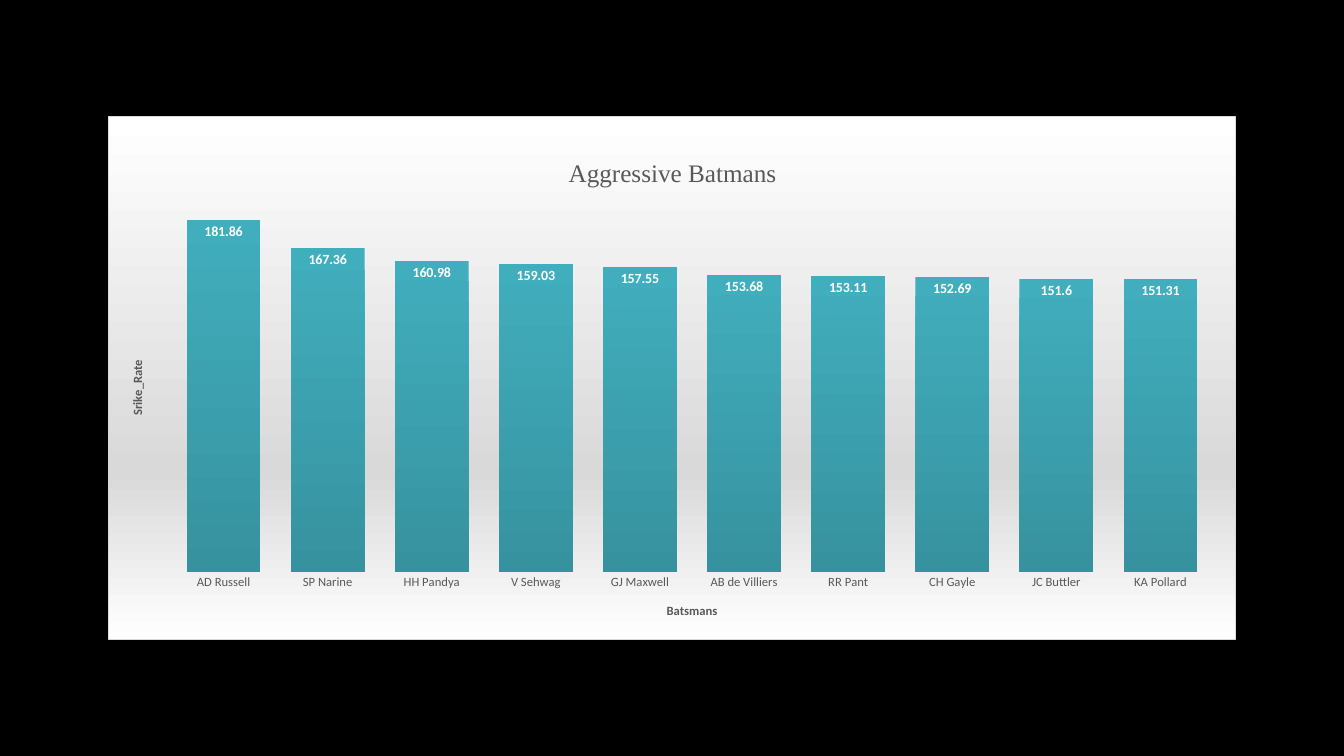
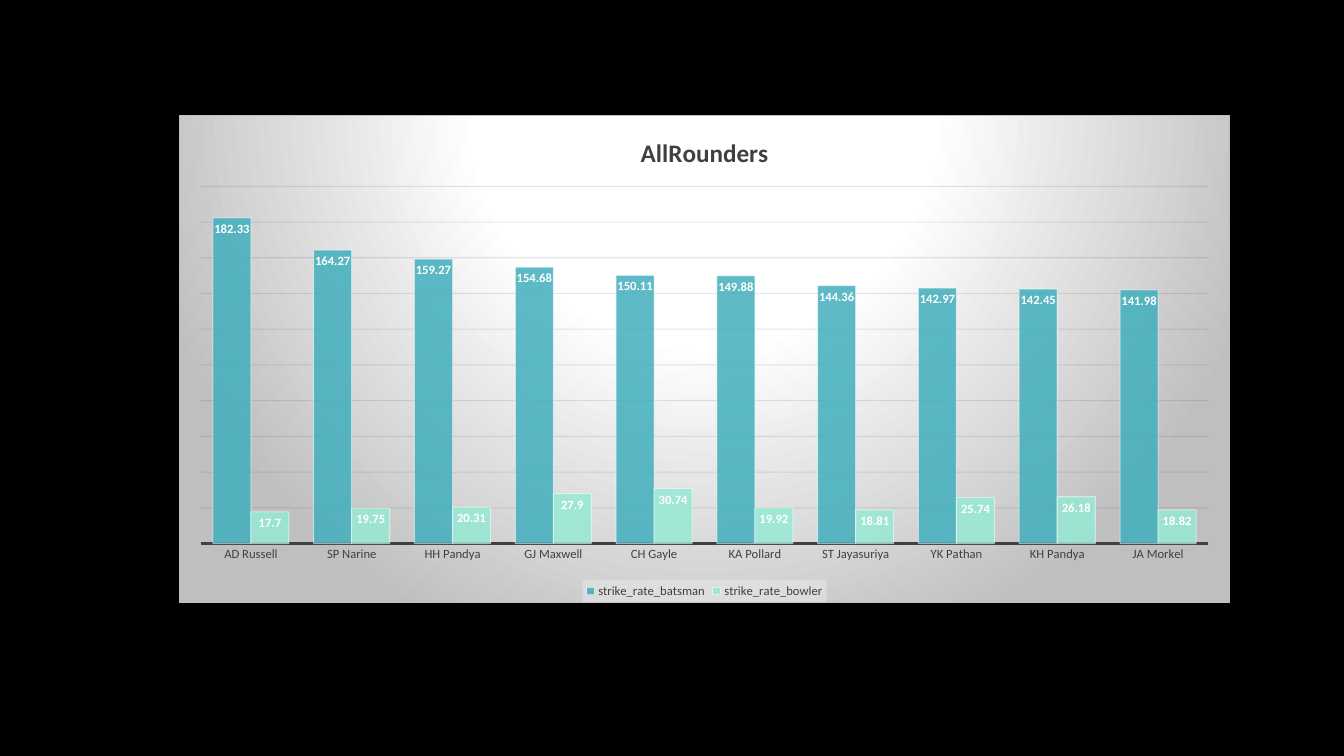
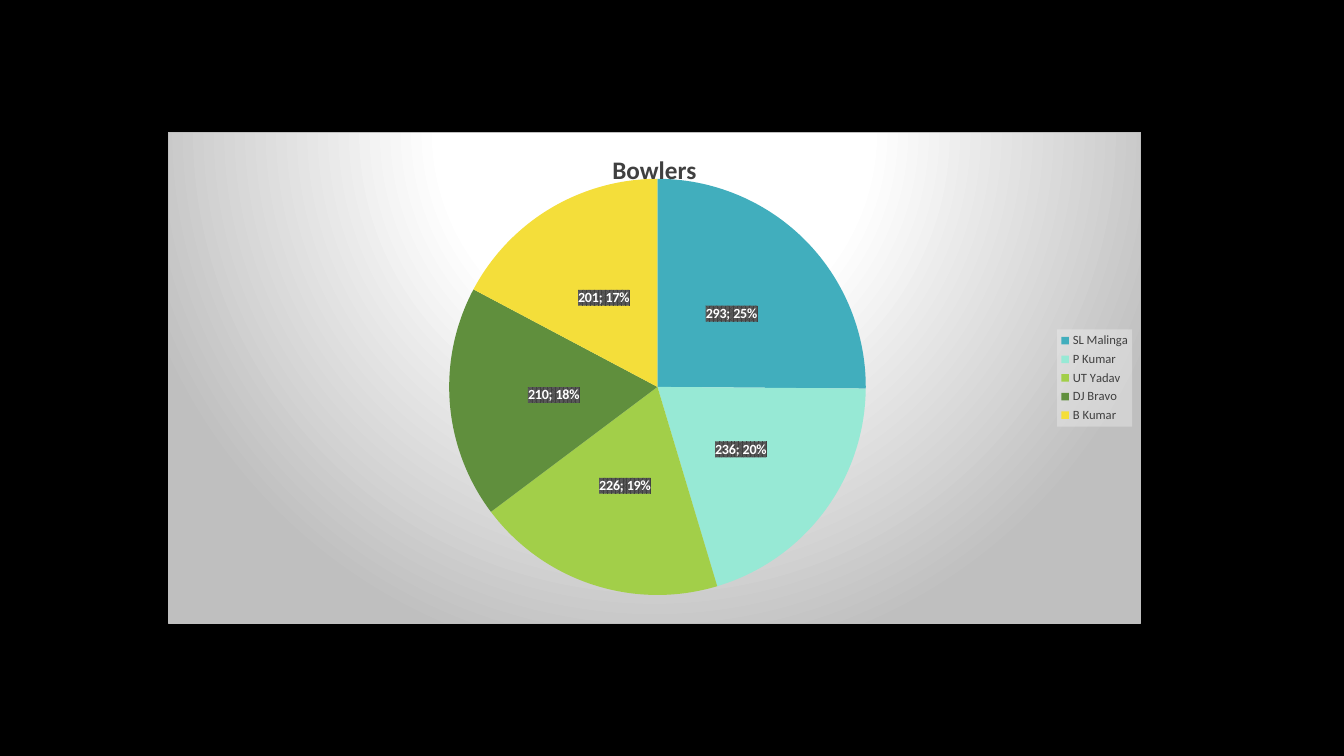
"""Build three dark slides charting cricket batsmen, all-rounders and bowlers."""
import pptx
import pptx.chart.data
import pptx.dml.color
import pptx.enum.chart
import pptx.oxml
import pptx.oxml.ns
import pptx.util

RGB = pptx.dml.color.RGBColor
Pt = pptx.util.Pt
qn = pptx.oxml.ns.qn
NAMESPACES = pptx.oxml.ns.nsdecls("a", "c")
CHART_TYPE = pptx.enum.chart.XL_CHART_TYPE
LABEL_AT = pptx.enum.chart.XL_LABEL_POSITION
LEGEND_AT = pptx.enum.chart.XL_LEGEND_POSITION
TICK = pptx.enum.chart.XL_TICK_MARK

BLACK = RGB(0x00, 0x00, 0x00)
WHITE = RGB(0xFF, 0xFF, 0xFF)
INK = RGB(0x40, 0x40, 0x40)
GRAY = RGB(0x59, 0x59, 0x59)
SILVER = RGB(0xD9, 0xD9, 0xD9)
STEEL = RGB(0xBF, 0xBF, 0xBF)
MIST = RGB(0xF2, 0xF2, 0xF2)
GRID = RGB(0x0D, 0x0D, 0x0D)
TEAL = RGB(0x41, 0xAE, 0xBD)
DEEP_TEAL = RGB(0x37, 0x92, 0x9F)
MINT = RGB(0x97, 0xE9, 0xD5)
LIME = RGB(0xA2, 0xCF, 0x49)
GREEN = RGB(0x60, 0x8F, 0x3D)
YELLOW = RGB(0xF4, 0xDE, 0x3A)

FONT = "Calibri"
PX = 914400 / 100.8
SLIDE_SIZE = (1344, 756)
DOWNWARD = '<a:lin ang="5400000" scaled="0"/>'
SPOTLIGHT = ('<a:path path="circle"><a:fillToRect l="50000" t="-80000" '
             'r="50000" b="180000"/></a:path>')


def solid(color, alpha=100):
    return (f'<a:solidFill><a:srgbClr val="{color}"><a:alpha val="{alpha * 1000}"/>'
            '</a:srgbClr></a:solidFill>')


def gradient(stops, direction):
    marks = "".join(f'<a:gs pos="{at * 1000}"><a:srgbClr val="{color}"/></a:gs>'
                    for at, color in stops)
    return f'<a:gradFill rotWithShape="1"><a:gsLst>{marks}</a:gsLst>{direction}</a:gradFill>'


def outline(fill, width=0.75):
    return f'<a:ln w="{Pt(width)}">{fill}</a:ln>'


VERTICAL_PANEL = (gradient([(0, WHITE), (68, SILVER), (100, WHITE)], DOWNWARD)
                  + outline(solid(SILVER)))
SPOTLIT_PANEL = (gradient([(0, WHITE), (39, WHITE), (100, STEEL)], SPOTLIGHT)
                 + outline(solid(STEEL)))
TEAL_FADE = gradient([(0, TEAL), (100, DEEP_TEAL)], DOWNWARD)
BAR_EDGE = outline(solid(WHITE, 50))
LABEL_PATCH = (f'<a:pattFill prst="pct75"><a:fgClr><a:srgbClr val="{INK}"/></a:fgClr>'
               f'<a:bgClr><a:srgbClr val="{GRAY}"/></a:bgClr></a:pattFill>')

BATSMEN = dict(
    title="Aggressive Batmans", title_font=("Times New Roman", False, GRAY),
    title_at=(564, 152), type=CHART_TYPE.COLUMN_CLUSTERED,
    box=(108, 116, 1128, 524), plot=(171, 185, 1042, 387), panel=VERTICAL_PANEL,
    names=["AD Russell", "SP Narine", "HH Pandya", "V Sehwag", "GJ Maxwell",
           "AB de Villiers", "RR Pant", "CH Gayle", "JC Buttler", "KA Pollard"],
    series=[("Series 1", [181.86, 167.36, 160.98, 159.03, 157.55, 153.68, 153.11,
                          152.69, 151.6, 151.31], TEAL_FADE)],
    label_size=10, label_at=LABEL_AT.INSIDE_END,
    gap=41, axis_color=GRAY, axis_titles=("Batsmans", "Srike_Rate"))
ALL_ROUNDERS = dict(
    title="AllRounders", title_font=(FONT, True, INK), type=CHART_TYPE.COLUMN_CLUSTERED,
    box=(179, 115, 1051, 488), plot=(200, 186, 1009, 358), panel=SPOTLIT_PANEL,
    names=["AD Russell", "SP Narine", "HH Pandya", "GJ Maxwell", "CH Gayle",
           "KA Pollard", "ST Jayasuriya", "YK Pathan", "KH Pandya", "JA Morkel"],
    series=[("strike_rate_batsman", [182.33, 164.27, 159.27, 154.68, 150.11, 149.88,
                                     144.36, 142.97, 142.45, 141.98],
             solid(TEAL, 85) + BAR_EDGE),
            ("strike_rate_bowler", [17.7, 19.75, 20.31, 27.9, 30.74, 19.92, 18.81,
                                    25.74, 26.18, 18.82],
             solid(MINT, 85) + BAR_EDGE)],
    label_size=9, label_at=LABEL_AT.INSIDE_END,
    gap=65, axis_color=INK, grid=True, legend=LEGEND_AT.BOTTOM)
BOWLERS = dict(
    title="Bowlers", title_font=(FONT, True, INK), type=CHART_TYPE.PIE,
    box=(168, 132, 973, 492), plot=(449, 178, 417, 418), panel=SPOTLIT_PANEL,
    names=["SL Malinga", "P Kumar", "UT Yadav", "DJ Bravo", "B Kumar"],
    series=[("Series 1", [293, 236, 226, 210, 201], None)],
    slices=[TEAL, MINT, LIME, GREEN, YELLOW],
    label_size=10, label_at=LABEL_AT.CENTER, legend=LEGEND_AT.RIGHT)


def set_font(font, size, color, bold=False, name=FONT):
    font.name, font.size, font.bold = name, Pt(size), bold
    font.color.rgb = color


def paint(properties, look):
    """Replace the content of a shape-properties element."""
    for old in list(properties):
        properties.remove(old)
    for part in pptx.oxml.parse_xml(f"<c:spPr {NAMESPACES}>{look}</c:spPr>"):
        properties.append(part)


def paint_before_text(owner, look):
    """Give a chart part its look ahead of its text properties."""
    owner.find(qn("c:txPr")).addprevious(
        pptx.oxml.parse_xml(f"<c:spPr {NAMESPACES}>{look}</c:spPr>"))


def place(owner, index, box, area, target=""):
    """Fix a chart part at a slide area given in px."""
    for old in owner.findall(qn("c:layout")):
        owner.remove(old)
    modes = '<c:xMode val="edge"/><c:yMode val="edge"/>'
    left, top, width, height = box
    fractions = [(area[0] - left) / width, (area[1] - top) / height]
    fractions += [length / whole for length, whole in zip(area[2:], (width, height))]
    values = "".join(f'<c:{key} val="{value:.4f}"/>' for key, value in zip("xywh", fractions))
    owner.insert(index, pptx.oxml.parse_xml(
        f"<c:layout {NAMESPACES}><c:manualLayout>{target}{modes}{values}"
        "</c:manualLayout></c:layout>"))


def write_title(title, text, size, name, bold, color):
    line = title.text_frame.paragraphs[0]
    line.text = text
    set_font(line.font, size, color, bold, name)


def style_axes(chart, content):
    names, rates = chart.category_axis, chart.value_axis
    names.major_tick_mark = names.minor_tick_mark = TICK.NONE
    names.has_major_gridlines = False
    set_font(names.tick_labels.font, 9, content["axis_color"])
    rates.minimum_scale, rates.maximum_scale, rates.major_unit = 0, 200, 20
    rates.has_major_gridlines = content.get("grid", False)
    if rates.has_major_gridlines:
        paint(rates.major_gridlines.format.element.get_or_add_spPr(),
              outline(solid(GRID, 10)))
        names.format.line.color.rgb = INK
        names.format.line.width = Pt(1.5)
    else:
        names.format.line.fill.background()
    for axis, text in zip((names, rates), content.get("axis_titles", ())):
        write_title(axis.axis_title, text, 9, FONT, True, GRAY)
    rates.visible = False


def style_series(series, look, content):
    if look:
        paint(series.format.element.get_or_add_spPr(), look)
    for index, color in enumerate(content.get("slices", ())):
        fill = series.points[index].format.fill
        fill.solid()
        fill.fore_color.rgb = color
    labels = series.data_labels
    labels.show_value = True
    labels.position = content["label_at"]
    set_font(labels.font, content["label_size"], WHITE, True)
    if "slices" in content:
        labels.show_percentage = True
        paint_before_text(series.format.element.find(qn("c:dLbls")), LABEL_PATCH)


def add_chart_slide(deck, content):
    slide = deck.slides.add_slide(deck.slide_layouts[6])
    slide.background.fill.solid()
    slide.background.fill.fore_color.rgb = BLACK

    data = pptx.chart.data.CategoryChartData()
    data.categories = content["names"]
    for name, values, _ in content["series"]:
        data.add_series(name, values)
    box = content["box"]
    chart = slide.shapes.add_chart(
        content["type"], *(round(length * PX) for length in box), data).chart
    set_font(chart.font, 10, WHITE)
    paint_before_text(chart.element, content["panel"])

    write_title(chart.chart_title, content["title"], 18, *content["title_font"])
    if "title_at" in content:
        place(chart.chart_title.element, 1, box, content["title_at"])
    place(next(chart.element.iter(qn("c:plotArea"))), 0, box, content["plot"],
          '<c:layoutTarget val="inner"/>')

    plot = chart.plots[0]
    plot.vary_by_categories = "slices" in content
    if "gap" in content:
        plot.gap_width, plot.overlap = content["gap"], 0
        style_axes(chart, content)
    for series, (_, _, look) in zip(plot.series, content["series"]):
        style_series(series, look, content)

    chart.has_legend = "legend" in content
    if chart.has_legend:
        chart.legend.position = content["legend"]
        chart.legend.include_in_layout = False
        set_font(chart.legend.font, 9, INK)
        paint_before_text(next(chart.element.iter(qn("c:legend"))), solid(MIST, 39))


def main():
    deck = pptx.Presentation()
    deck.slide_width, deck.slide_height = (round(length * PX) for length in SLIDE_SIZE)
    for content in (BATSMEN, ALL_ROUNDERS, BOWLERS):
        add_chart_slide(deck, content)
    deck.save("out.pptx")


if __name__ == "__main__":
    main()
